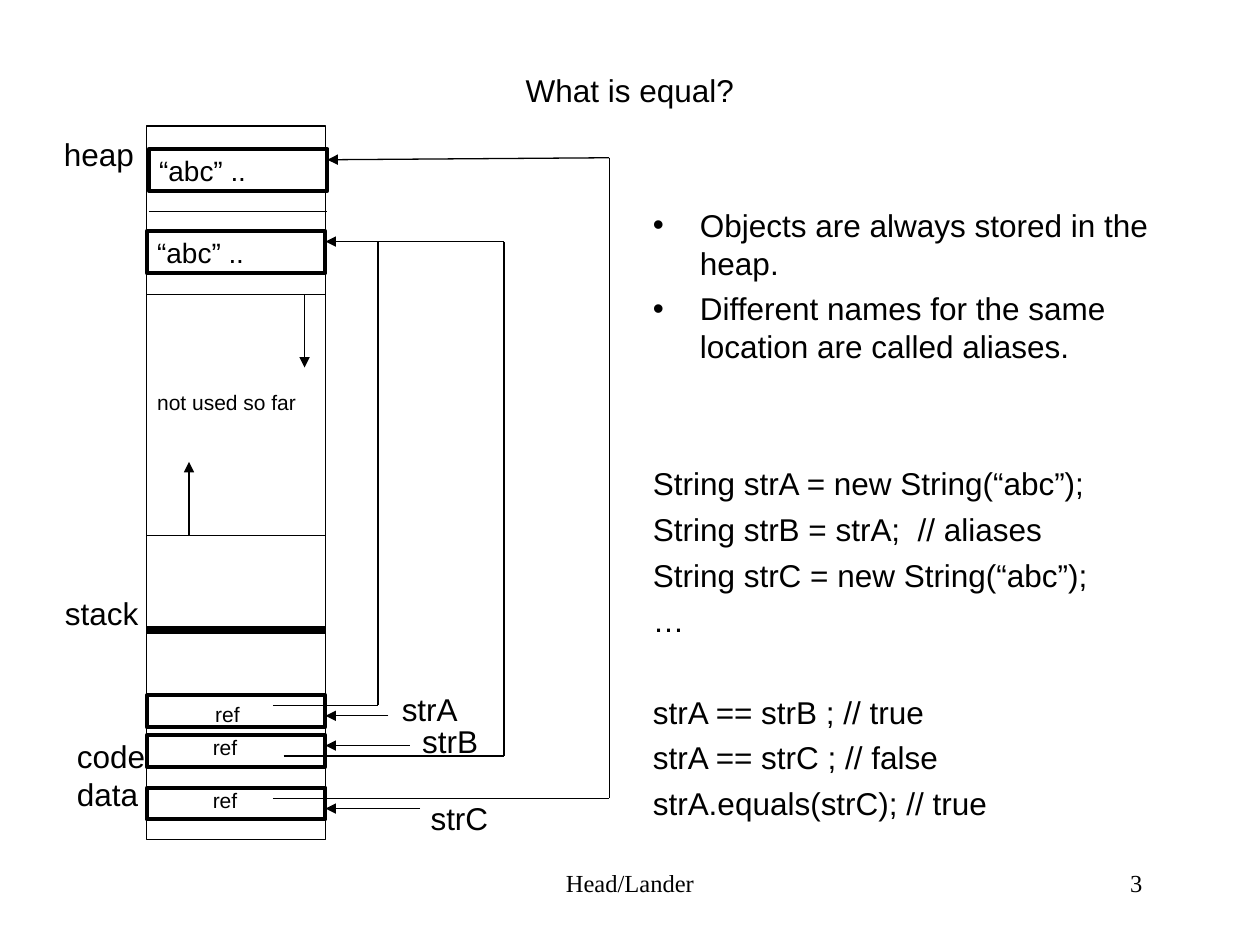
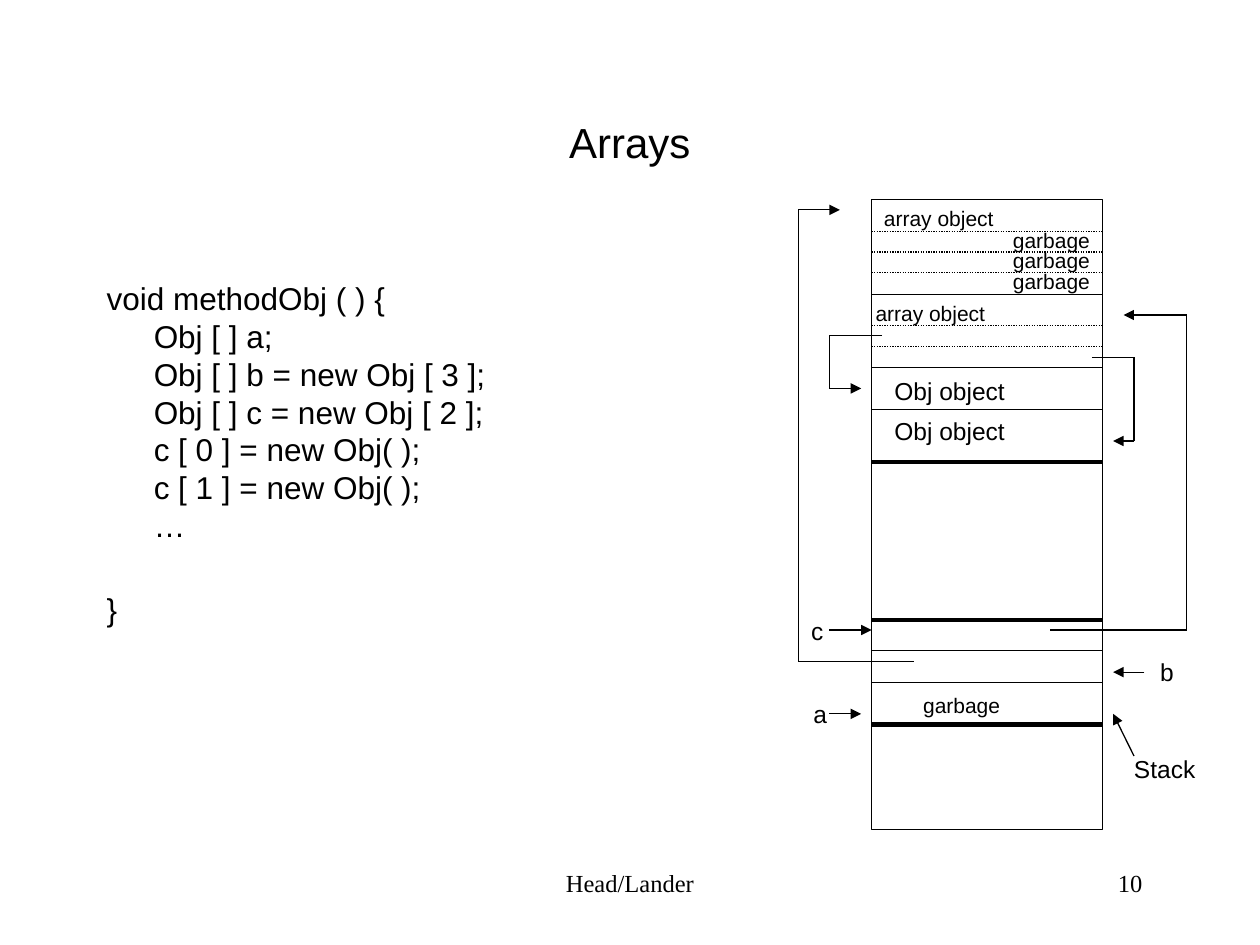
from lxml.etree import SubElement
from pptx import Presentation
from pptx.dml.color import RGBColor
from pptx.enum.dml import MSO_LINE
from pptx.enum.shapes import MSO_CONNECTOR, MSO_SHAPE
from pptx.enum.text import MSO_ANCHOR, MSO_AUTO_SIZE, PP_ALIGN
from pptx.oxml.ns import qn
from pptx.util import Cm, Pt

INK = "000000"
SANS, SERIF = "Arial", "Times New Roman"
THIN, MEDIUM, HEAVY, HEAVIEST = 0.75, 2.25, 3, 4.5
LEADING = 1.2
BODY_SIZE = 18
BODY_GAP = 4.5
BLANK_LINE = BODY_SIZE * LEADING
INDENT = Cm(0.95)


def color(hex_value):
    return RGBColor.from_string(hex_value)


def apply(target, formats):
    for name, value in formats.items():
        setattr(target, name, value)


def place(shape, left, top, width, height):
    apply(shape, {"left": Cm(left), "top": Cm(top),
                  "width": Cm(width), "height": Cm(height)})


def set_frame(frame, wrap=True, anchor=MSO_ANCHOR.TOP):
    apply(frame, {
        "auto_size": MSO_AUTO_SIZE.NONE, "word_wrap": wrap,
        "vertical_anchor": anchor,
        "margin_left": Cm(0.25), "margin_right": Cm(0.25),
        "margin_top": Cm(0.13), "margin_bottom": Cm(0.13)})


def write(paragraph, lines, size, font=SANS, align=PP_ALIGN.LEFT, before=0):
    """Fill a paragraph with lines parted by line breaks."""
    apply(paragraph, {"alignment": align, "space_before": Pt(before),
                      "line_spacing": Pt(size * LEADING)})
    for number, line in enumerate(lines):
        if number:
            paragraph.add_line_break()
        run = paragraph.add_run()
        run.text = line
        apply(run.font, {"size": Pt(size), "name": font})
        run.font.color.rgb = color(INK)


def hang(paragraph, bullet):
    """Give a hanging indent, with or without a bullet."""
    properties = paragraph._p.get_or_add_pPr()
    properties.set("marL", str(INDENT))
    properties.set("indent", str(-INDENT))
    if bullet:
        SubElement(properties, qn("a:buChar")).set("char", "•")
    else:
        SubElement(properties, qn("a:buNone"))


def add_title(slide, text, top, size):
    title = slide.shapes.title
    place(title, 1.9, top, 21.59, 2.33)
    set_frame(title.text_frame, anchor=MSO_ANCHOR.MIDDLE)
    write(title.text_frame.paragraphs[0], [text], size, align=PP_ALIGN.CENTER)


def add_body(slide, box, items):
    """Each item is (lines, bullet, extra space before in points)."""
    body = slide.placeholders[1]
    place(body, *box)
    frame = body.text_frame
    set_frame(frame)
    for number, (lines, bullet, extra) in enumerate(items):
        paragraph = frame.add_paragraph() if number else frame.paragraphs[0]
        write(paragraph, lines, BODY_SIZE, before=BODY_GAP + extra)
        hang(paragraph, bullet)


def add_label(slide, text, left, top, width, size=12):
    lines = text.split("\n")
    height = Pt(size * LEADING * len(lines)) + Cm(0.25)
    label = slide.shapes.add_textbox(Cm(left), Cm(top), Cm(width), height)
    set_frame(label.text_frame, wrap=False)
    write(label.text_frame.paragraphs[0], lines, size)


def add_footer(slide, page):
    for text, left, width, align in (
            ("Head/Lander", 8.68, 8.04, PP_ALIGN.CENTER),
            (page, 17.99, 5.29, PP_ALIGN.RIGHT)):
        footer = slide.shapes.add_textbox(
            Cm(left), Cm(17.36), Cm(width), Cm(1.27))
        set_frame(footer.text_frame)
        write(footer.text_frame.paragraphs[0], [text], 14, SERIF, align)


def add_cell(slide, left, top, width, height, weight=THIN):
    cell = slide.shapes.add_shape(
        MSO_SHAPE.RECTANGLE, Cm(left), Cm(top), Cm(width), Cm(height))
    cell.shadow.inherit = False
    cell.fill.background()
    cell.line.color.rgb = color(INK)
    cell.line.width = Pt(weight)


def add_line(slide, start, end, weight=THIN, arrow=False, dotted=False):
    line = slide.shapes.add_connector(
        MSO_CONNECTOR.STRAIGHT, *(Cm(value) for value in (*start, *end)))
    line.line.color.rgb = color(INK)
    line.line.width = Pt(weight)
    if dotted:
        line.line.dash_style = MSO_LINE.ROUND_DOT
    properties = line.element.spPr
    if arrow:
        outline = properties.find(qn("a:ln"))
        SubElement(outline, qn("a:tailEnd")).set("type", "triangle")
    SubElement(properties, qn("a:effectLst"))


def add_route(slide, *points, arrow=True):
    """Join points by straight lines, with an arrowhead at the last one."""
    last = len(points) - 2
    for number, (start, end) in enumerate(zip(points, points[1:])):
        add_line(slide, start, end, arrow=arrow and number == last)


def build_equality(slide):
    add_title(slide, "What is equal?", 0.64, 18)
    add_body(slide, (12.91, 4.02, 10.58, 12.91), [
        (["Objects are always stored in the heap."], True, 0),
        (["Different names for the same location are called aliases."], True, 0),
        (["String strA = new String(“abc”);"], False,
         2 * (BLANK_LINE + BODY_GAP)),
        (["String strB = strA;  // aliases"], False, 0),
        (["String strC = new String(“abc”);"], False, 0),
        (["…"], False, 0),
        (["strA == strB ; // true"], False, BLANK_LINE + BODY_GAP),
        (["strA == strC ; // false"], False, 0),
        (["strA.equals(strC); // true"], False, 0),
    ])

    left, width = 2.96, 3.6
    right = left + width
    add_cell(slide, left, 2.54, width, 14.39)
    for y, weight in ((5.93, THIN), (10.8, THIN), (12.7, HEAVIEST)):
        add_line(slide, (left, y), (right, y), weight)
    add_line(slide, (3, 4.27), (6.6, 4.27))
    add_route(slide, (6.14, 5.93), (6.14, 7.41))
    add_route(slide, (3.81, 10.8), (3.81, 9.31))
    add_label(slide, "not used so far", 2.92, 7.72, 3.3)

    for cell_left, top in ((3, 3), (left, 4.66)):
        add_cell(slide, cell_left, top, width, 0.85, MEDIUM)
        add_label(slide, "“abc” ..", cell_left - 0.04, top - 0.04, 2.26, 16)

    for top, ref_left, ref_top in ((14.02, 4.09, 14.02), (14.82, 4.04, 14.68),
                                   (15.88, 4.04, 15.75)):
        add_cell(slide, left, top, width, 0.64, MEDIUM)
        add_label(slide, "ref", ref_left, ref_top, 0.99)

    for name, name_left, name_top, tail, y in (
            ("strA", 7.85, 13.79, 7.83, 14.43),
            ("strB", 8.26, 14.43, 8.26, 15.03),
            ("strC", 8.43, 15.98, 8.47, 16.3)):
        add_label(slide, name, name_left, name_top, 1.65, 18)
        add_route(slide, (tail, y), (right, y))

    add_route(slide, (5.5, 14.22), (7.62, 14.22), (7.62, 4.87), (right, 4.87))
    add_route(slide, (5.72, 15.24), (10.16, 15.24), (10.16, 4.87),
              (7.62, 4.87), arrow=False)
    add_route(slide, (5.5, 16.09), (12.28, 16.09), (12.28, 3.18), (6.6, 3.22))

    for region, *spot in (("heap", 1.04, 2.59, 1.9), ("stack", 1.06, 11.85, 2.12),
                          ("code\ndata", 1.3, 14.73, 1.88)):
        add_label(slide, region, *spot, 18)
    add_footer(slide, "3")


def build_arrays(slide):
    add_title(slide, "Arrays", 1.69, 24)
    method = ["void methodObj ( ) {", "Obj [ ] a;", "Obj [ ] b = new Obj [ 3 ];",
              "Obj [ ] c = new Obj [ 2 ];", "c [ 0 ] = new Obj( );",
              "c [ 1 ] = new Obj( );", "…"]
    add_body(slide, (1.9, 5.5, 10.58, 11.43),
             [(method, False, 0), (["}"], False, BLANK_LINE)])

    left, width, slot = 17.57, 4.66, 0.42
    right = left + width
    add_cell(slide, left, 4.02, width, 12.7)
    for y, weight in ((5.93, THIN), (7.41, THIN), (8.26, THIN), (9.31, MEDIUM),
                      (12.49, MEDIUM), (13.12, THIN), (13.76, THIN),
                      (14.61, HEAVY)):
        add_line(slide, (left, y), (right, y), weight)
    for first_slot, count in ((4.66, 3), (6.56, 2)):
        for number in range(count):
            y = first_slot + number * slot
            add_line(slide, (left, y), (right, y), dotted=True)

    for number in range(3):
        add_label(slide, "garbage", 20.17, 4.45 + number * slot, 2.06)
    add_label(slide, "garbage", 18.36, 13.84, 2.06)
    add_label(slide, "array object", left, 4.02, 2.72)
    add_label(slide, "array object", 17.4, 5.93, 2.72)
    for text, *spot in (("Obj object", 17.78, 7.44, 2.74),
                        ("Obj object", 17.78, 8.26, 2.74),
                        ("a", 16.15, 13.97, 0.79), ("b", 23.14, 13.12, 0.79),
                        ("c", 16.1, 12.28, 0.76), ("Stack", 22.61, 15.06, 1.75)):
        add_label(slide, text, *spot, 14)

    for route in (
            [(16.72, 14.39), (17.36, 14.39)],
            [(23.07, 13.55), (22.44, 13.55)],
            [(16.72, 12.7), (left, 12.7)],
            [(22.86, 15.24), (22.44, 14.39)],
            [(18.42, 13.34), (16.09, 13.34), (16.09, 4.23), (16.93, 4.23)],
            [(21.17, 12.7), (23.92, 12.7), (23.92, 6.35), (22.65, 6.35)],
            [(17.78, 6.77), (16.72, 6.77), (16.72, 7.83), (17.36, 7.83)],
            [(22.01, 7.2), (22.86, 7.2), (22.86, 8.89), (22.44, 8.89)]):
        add_route(slide, *route)
    add_footer(slide, "10")


def main():
    deck = Presentation()
    apply(deck, {"slide_width": Cm(25.4), "slide_height": Cm(19.05)})
    for build in (build_equality, build_arrays):
        build(deck.slides.add_slide(deck.slide_layouts[1]))
    deck.save("out.pptx")


if __name__ == "__main__":
    main()
